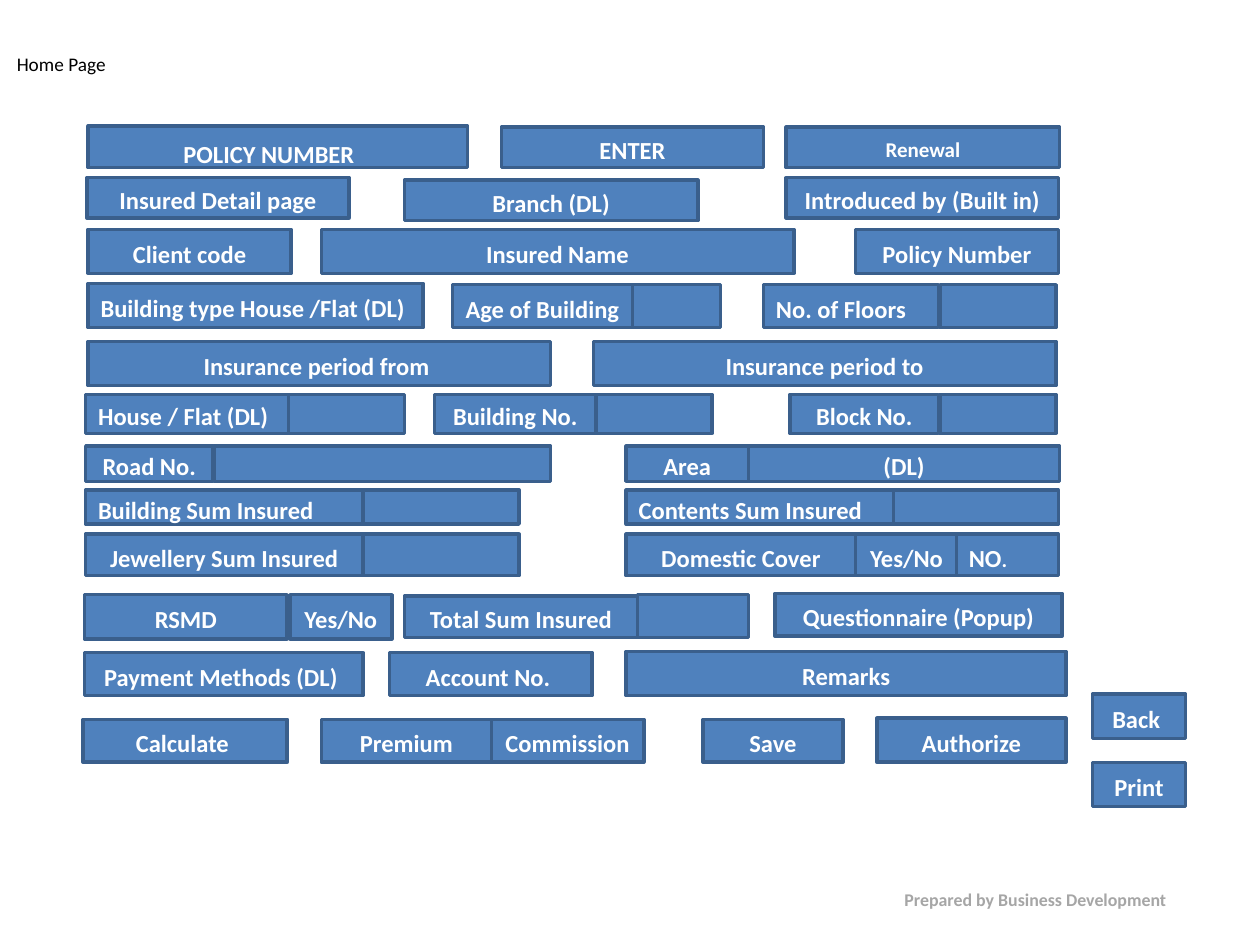
from pptx import Presentation
from pptx.dml.color import RGBColor
from pptx.enum.shapes import MSO_SHAPE as SHAPE
from pptx.enum.text import MSO_ANCHOR as ANCHOR, PP_ALIGN as ALIGN
from pptx.util import Inches, Pt

BLUE = RGBColor(0x4F, 0x81, 0xBD)
EDGE = RGBColor(0x3A, 0x5F, 0x8C)
WHITE = RGBColor(0xFF, 0xFF, 0xFF)
BLACK = RGBColor(0, 0, 0)
GREY = RGBColor(0xA6, 0xA6, 0xA6)


def write(tf, text, size=14, color=WHITE, bold=True, align=ALIGN.LEFT,
          anchor=ANCHOR.MIDDLE, wrap=True, spacing=None, before=None):
    """Text is a string, or a list of (string, size) runs."""
    tf.word_wrap = wrap
    tf.vertical_anchor = anchor
    p = tf.paragraphs[0]
    p.alignment = align
    if spacing:
        p.line_spacing = spacing
    if before:
        p.space_before = Pt(before)
    for part, pt in [(text, size)] if isinstance(text, str) else text:
        r = p.add_run()
        r.text = part
        r.font.name = "Calibri"
        r.font.size = Pt(pt)
        r.font.bold = bold
        r.font.color.rgb = color


class Form:
    def __init__(self, slide):
        self.s = slide

    def field(self, x, y, w, h, text="", align=ALIGN.CENTER, size=14):
        sp = self.s.shapes.add_shape(SHAPE.RECTANGLE, Inches(x), Inches(y),
                                     Inches(w), Inches(h))
        sp.shadow.inherit = False
        sp.fill.solid()
        sp.fill.fore_color.rgb = BLUE
        sp.line.color.rgb = EDGE
        sp.line.width = Pt(2)
        if text:
            write(sp.text_frame, text, size=size, align=align, spacing=1.15)

    def row(self, y, h, *fields):
        for x, w, *content in fields:
            self.field(x, y, w, h, *content)

    def label(self, x, y, w, h, text, **fmt):
        sp = self.s.shapes.add_textbox(Inches(x), Inches(y), Inches(w), Inches(h))
        write(sp.text_frame, text, **fmt)


prs = Presentation()
prs.slide_width, prs.slide_height = Inches(10), Inches(7.5)
form = Form(prs.slides.add_slide(prs.slide_layouts[6]))
LEFT = ALIGN.LEFT

# Page title
form.label(0, 0.36, 0.95, 0.29, " Home Page", size=11, color=BLACK,
           bold=False, wrap=False)

# Policy and client
form.row(1, 0.33, (0.7, 3.01, [("POLICY NUMBER", 14), ("\t", 20)]))
form.row(1.01, 0.32, (3.98, 2.08, "ENTER"),
         (6.24, 2.17, "Renewal", ALIGN.CENTER, 12))
form.row(1.41, 0.32, (0.69, 2.08, "Insured Detail page"),
         (6.24, 2.16, "Introduced by (Built in)"))
form.row(1.43, 0.32, (3.21, 2.33, "Branch (DL)"))
form.row(1.82, 0.35, (0.7, 1.61, "Client code"), (2.55, 3.75, "Insured Name"),
         (6.79, 1.61, "Policy Number"))

# Building and period
form.row(2.25, 0.35, (0.7, 2.66, "Building type House /Flat (DL)", LEFT))
form.row(2.26, 0.34, (3.59, 1.43, "Age of Building"), (5.02, 0.7),
         (6.06, 1.39, "No. of Floors", LEFT), (7.46, 0.92))
form.row(2.71, 0.35, (0.7, 3.67, "Insurance period from "),
         (4.71, 3.67, "Insurance period to"))

# Address
form.row(3.13, 0.31, (0.68, 1.61, "House / Flat (DL)", LEFT), (2.29, 0.92),
         (3.45, 1.28, "Building No."), (4.73, 0.92),
         (6.27, 1.18, "Block No."), (7.46, 0.92))
form.row(3.54, 0.28, (1.7, 2.67), (0.68, 1.01, "Road No."),
         (5.94, 2.47, "(DL)"), (4.97, 0.97, "Area"))

# Sums insured and cover
form.row(3.89, 0.27, (0.68, 2.2, "Building Sum Insured ", LEFT), (2.88, 1.24),
         (4.97, 2.12, "Contents Sum Insured ", LEFT), (7.09, 1.31))
form.row(4.24, 0.33, (0.68, 2.2, "Jewellery Sum Insured"), (2.88, 1.24),
         (4.97, 1.82, "Domestic Cover"), (6.79, 0.81, "Yes/No"),
         (7.59, 0.81, [("NO", 14), (".", 12)], LEFT))
form.row(4.72, 0.35, (0.67, 1.61, "RSMD"), (2.3, 0.81, "Yes/No"))
form.row(4.73, 0.33, (3.21, 1.85, "Total Sum Insured"))
form.row(4.72, 0.34, (5.06, 0.88))
form.row(4.71, 0.34, (6.15, 2.28, "Questionnaire (Popup)"))

# Payment and actions
form.row(5.18, 0.34, (0.67, 2.21, "Payment Methods (DL) "),
         (3.09, 1.61, "Account No. "))
form.row(5.17, 0.35, (4.97, 3.49, "Remarks"))
form.row(5.71, 0.34, (0.66, 1.62, "Calculate "), (2.55, 1.35, "Premium"),
         (3.9, 1.21, "Commission"), (5.58, 1.11, "Save"))
form.row(5.7, 0.35, (6.96, 1.5, "Authorize"))
for i, name in enumerate(["Back ", "Print"]):
    form.field(8.67, 5.51 + 0.54 * i, 0.74, 0.35, name)

# Footer
form.label(6.58, 7, 3.25, 0.25, "\tPrepared by Business Development", size=10.2,
           color=GREY, anchor=ANCHOR.TOP, before=2)

prs.save("out.pptx")
